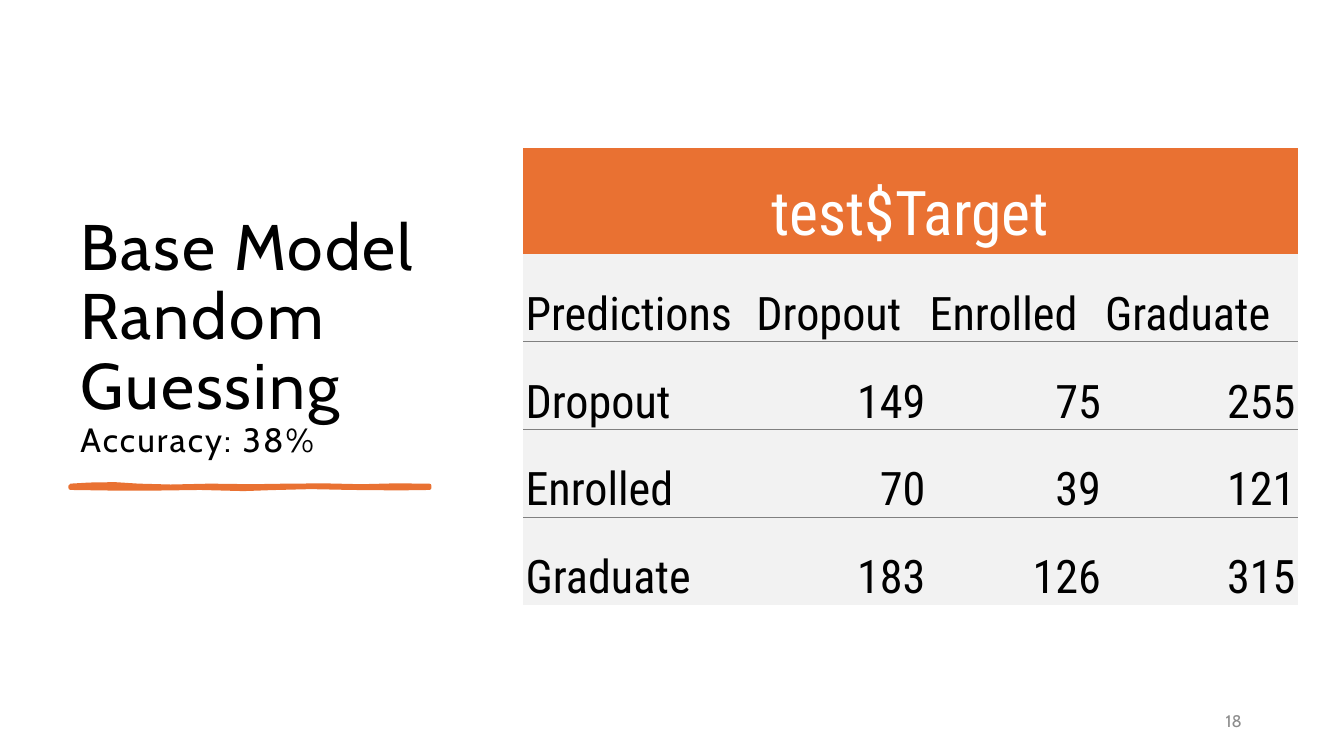
from dataclasses import dataclass

from lxml.etree import SubElement
from pptx import Presentation
from pptx.dml.color import RGBColor
from pptx.enum.text import MSO_ANCHOR as Anchor, PP_ALIGN as Align
from pptx.oxml import parse_xml
from pptx.oxml.ns import nsdecls, qn
from pptx.util import Pt

TITLE_LINES = ["Base Model", "Random Guessing"]
ACCURACY = "Accuracy: 38%"
PAGE_NUMBER = "18"
TABLE_TITLE = "test$Target"
TABLE_ROWS = [
    ("Predictions", "Dropout", "Enrolled", "Graduate"),
    ("Dropout", "149", "75", "255"),
    ("Enrolled", "70", "39", "121"),
    ("Graduate", "183", "126", "315"),
]
COLUMN_WIDTHS = [164.9, 123.8, 125.3, 139]
TITLE_ROW_HEIGHT, ROW_HEIGHT = 75.6, 62.7
STROKE_TOP = [
    (50.4, 347), (64, 346.2), (82, 345.9), (99, 347), (122, 347.6),
    (150, 347), (180, 347.4), (205, 347), (232, 346.8), (258, 347.4),
    (282, 346.8), (306.7, 347),
]
STROKE_BOTTOM = [
    (306.7, 348.5), (285, 348.8), (251, 348.5), (222, 347.9), (194, 348.6),
    (174, 349.3), (143, 348.5), (115, 348.9), (85, 349), (50.4, 348.5),
]


@dataclass(frozen=True)
class Theme:
    orange: RGBColor = RGBColor(0xE9, 0x71, 0x32)
    black: RGBColor = RGBColor(0, 0, 0)
    white: RGBColor = RGBColor(255, 255, 255)
    pale: RGBColor = RGBColor(0xF2, 0xF2, 0xF2)
    gray: RGBColor = RGBColor(0x8C, 0x8C, 0x8C)
    rule: RGBColor = RGBColor(0x80, 0x80, 0x80)
    text_font: str = "Cabin"
    table_font: str = "Roboto Condensed"
    title_size: float = 46
    accuracy_size: float = 24
    table_title_size: float = 44
    cell_size: float = 33
    number_size: float = 12


THEME = Theme()
NO_STYLE = "{2D5ABB26-0587-4C30-8999-92F81FD0307C}"


def style_font(paragraph, name, size, color):
    paragraph.font.name = name
    paragraph.font.size = Pt(size)
    paragraph.font.color.rgb = color


def add_text_box(slide, left, top, width, height, anchor):
    frame = slide.shapes.add_textbox(Pt(left), Pt(top), Pt(width), Pt(height)).text_frame
    frame.word_wrap = True
    frame.vertical_anchor = anchor
    return frame.paragraphs[0]


def add_spaced_run(paragraph, text, size):
    run = paragraph.add_run()
    run.text = text
    run.font.size = Pt(size)
    run._r.get_or_add_rPr().set("spc", "150")


def add_title(slide):
    paragraph = add_text_box(slide, 50.4, 50.4, 281.5, 281.5, Anchor.BOTTOM)
    paragraph.line_spacing = 0.9
    style_font(paragraph, THEME.text_font, THEME.title_size, THEME.black)
    for line in TITLE_LINES:
        add_spaced_run(paragraph, line, THEME.title_size)
        paragraph.add_line_break()
    add_spaced_run(paragraph, ACCURACY, THEME.accuracy_size)


def add_stroke(slide):
    points = [(Pt(x), Pt(y)) for x, y in STROKE_TOP + STROKE_BOTTOM]
    builder = slide.shapes.build_freeform(*points[0])
    builder.add_line_segments(points[1:], close=True)
    shape = builder.convert_to_shape()
    shape.shadow.inherit = False
    shape.fill.solid()
    shape.fill.fore_color.rgb = THEME.orange
    shape.line.color.rgb = THEME.orange
    shape.line.width = Pt(3)
    SubElement(shape.line._get_or_add_ln(), qn("a:round"))


def add_page_number(slide):
    paragraph = add_text_box(slide, 678.2, 500.4, 216, 28.8, Anchor.MIDDLE)
    paragraph.alignment = Align.RIGHT
    paragraph.space_after = Pt(6)
    style_font(paragraph, THEME.text_font, THEME.number_size, THEME.gray)
    paragraph.add_run().text = PAGE_NUMBER


def fill_cell(cell, text, size, color, background, alignment, anchor):
    cell.margin_left = cell.margin_right = Pt(1.5)
    cell.margin_top, cell.margin_bottom = Pt(19.4), Pt(0)
    cell.vertical_anchor = anchor
    cell.fill.solid()
    cell.fill.fore_color.rgb = background
    paragraph = cell.text_frame.paragraphs[0]
    paragraph.alignment = alignment
    style_font(paragraph, THEME.table_font, size, color)
    paragraph.add_run().text = text


def add_border(cell, tag):
    border = parse_xml(
        f'<a:{tag} {nsdecls("a")} w="{Pt(0.75)}"><a:solidFill>'
        f'<a:srgbClr val="{THEME.rule}"/></a:solidFill></a:{tag}>'
    )
    cell._tc.get_or_add_tcPr().insert(0, border)


def add_results_table(slide):
    height = TITLE_ROW_HEIGHT + ROW_HEIGHT * len(TABLE_ROWS)
    table = slide.shapes.add_table(
        len(TABLE_ROWS) + 1, len(COLUMN_WIDTHS),
        Pt(373.9), Pt(105.8), Pt(sum(COLUMN_WIDTHS)), Pt(height),
    ).table
    table._tbl.tblPr.find(qn("a:tableStyleId")).text = NO_STYLE
    table.first_row = table.horz_banding = False
    for column, width in zip(table.columns, COLUMN_WIDTHS):
        column.width = Pt(width)
    for index, row in enumerate(table.rows):
        row.height = Pt(ROW_HEIGHT if index else TITLE_ROW_HEIGHT)

    heading = table.cell(0, 0)
    heading.merge(table.cell(0, len(COLUMN_WIDTHS) - 1))
    fill_cell(heading, TABLE_TITLE, THEME.table_title_size, THEME.white,
              THEME.orange, Align.CENTER, Anchor.MIDDLE)
    for row_index, values in enumerate(TABLE_ROWS, start=1):
        for column_index, text in enumerate(values):
            cell = table.cell(row_index, column_index)
            alignment = Align.RIGHT if text.isdigit() else Align.LEFT
            fill_cell(cell, text, THEME.cell_size, THEME.black,
                      THEME.pale, alignment, Anchor.BOTTOM)
            if row_index < len(TABLE_ROWS):
                add_border(cell, "lnB")
            if row_index > 1:
                add_border(cell, "lnT")


def main():
    presentation = Presentation()
    presentation.slide_width, presentation.slide_height = Pt(960), Pt(540)
    slide = presentation.slides.add_slide(presentation.slide_layouts[6])
    add_title(slide)
    add_stroke(slide)
    add_page_number(slide)
    add_results_table(slide)
    presentation.save("out.pptx")


if __name__ == "__main__":
    main()
